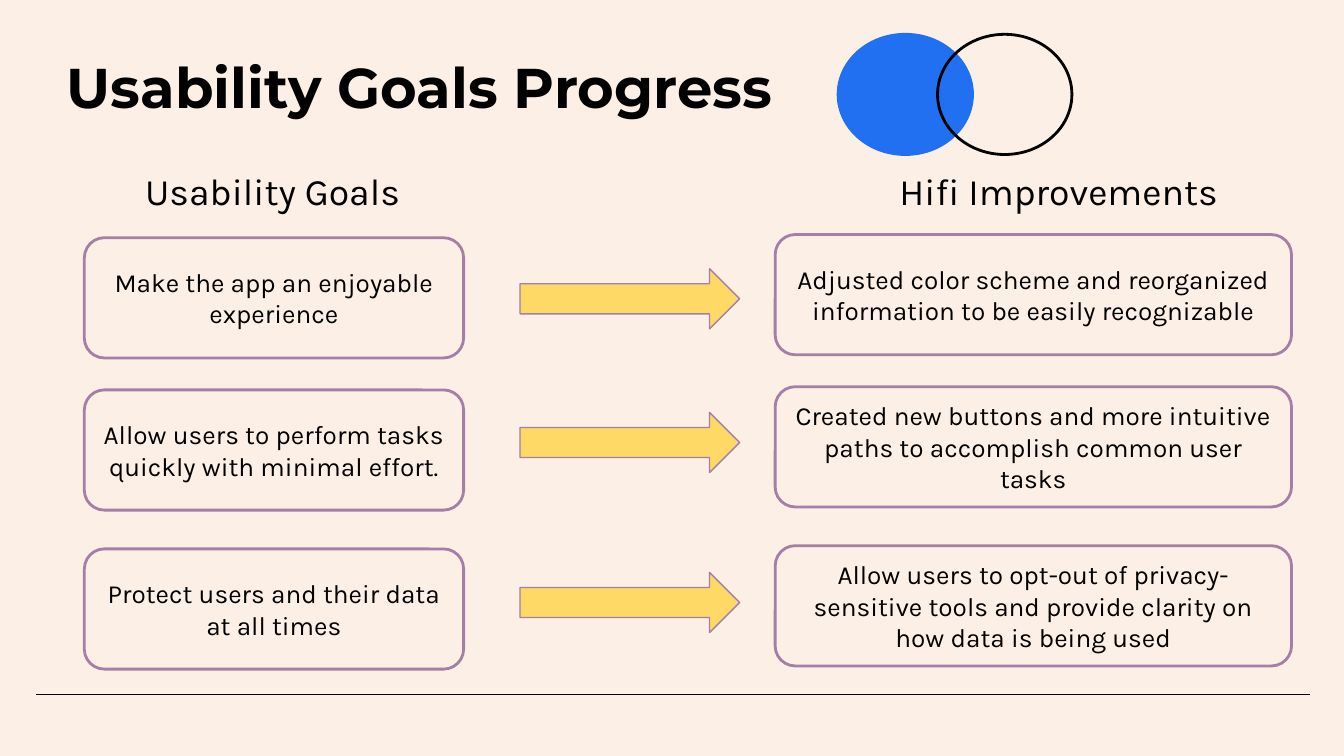
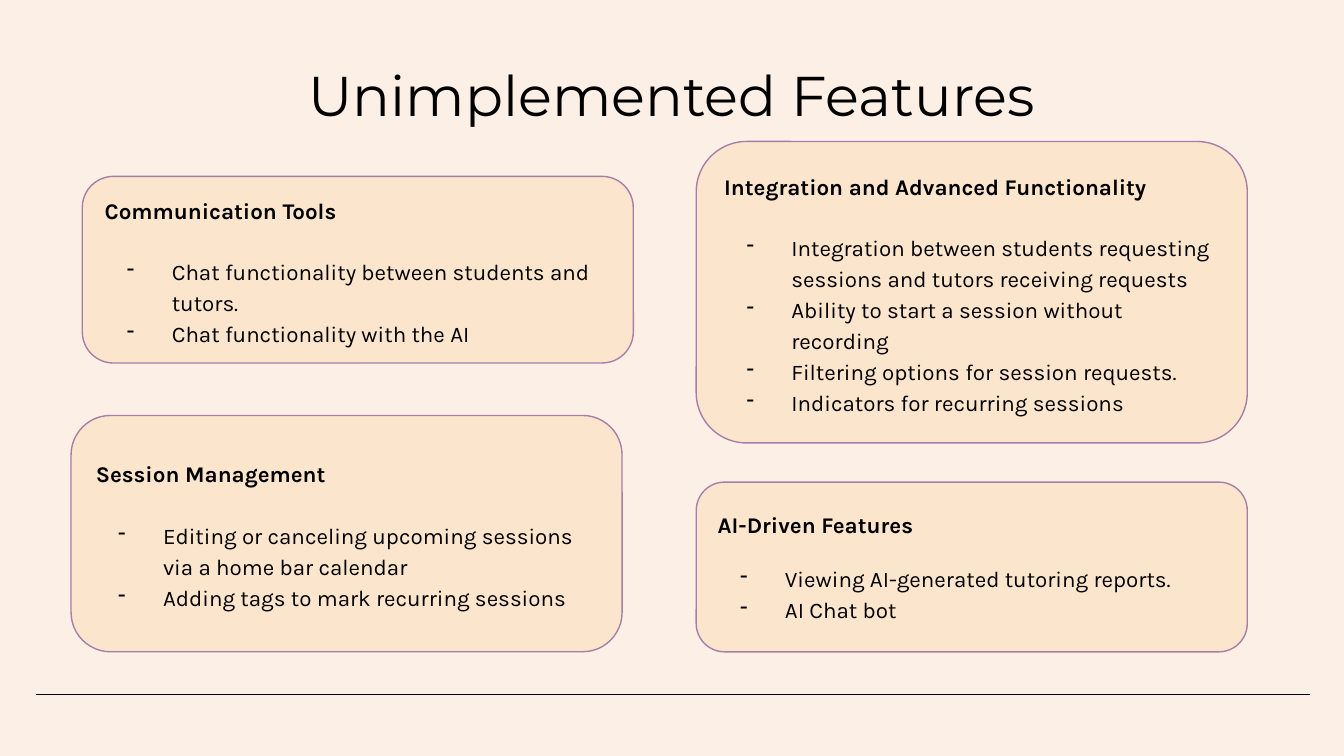
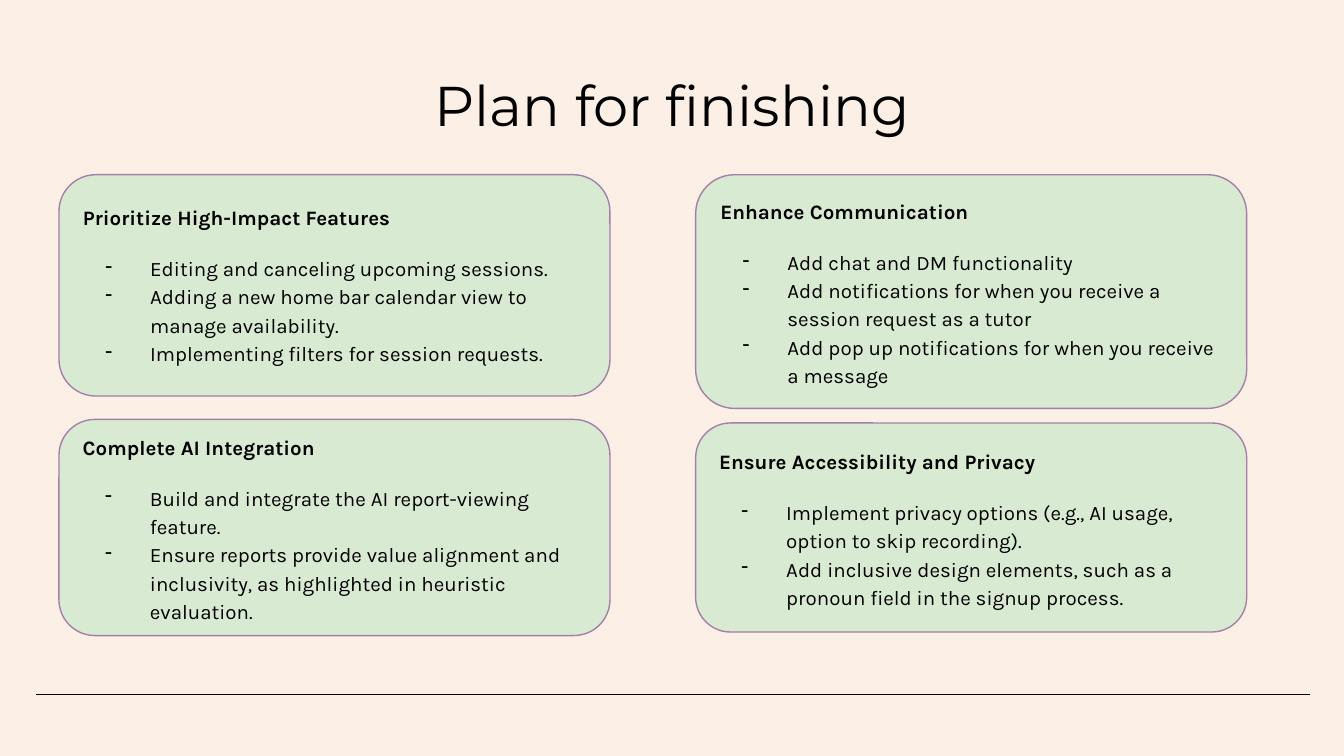
from lxml import etree
from pptx import Presentation, oxml
from pptx.dml.color import RGBColor
from pptx.enum import shapes, text
from pptx.oxml import ns
from pptx.util import Pt

CREAM = RGBColor(0xFC, 0xEF, 0xE5)
BLACK = RGBColor(0, 0, 0)
BLUE = RGBColor(0x21, 0x70, 0xF2)
MAUVE = RGBColor(0xA4, 0x7F, 0xA7)
YELLOW = RGBColor(0xFF, 0xD9, 0x66)
PEACH = RGBColor(0xFC, 0xE5, 0xCD)
GREEN = RGBColor(0xD9, 0xEA, 0xD3)

SHAPE = shapes.MSO_SHAPE
LEFT, CENTER = text.PP_ALIGN.LEFT, text.PP_ALIGN.CENTER
TOP, MIDDLE, BOTTOM = (text.MSO_ANCHOR.TOP, text.MSO_ANCHOR.MIDDLE,
                       text.MSO_ANCHOR.BOTTOM)

TITLE = {"name": "Montserrat", "size": Pt(30), "bold": False}
COLUMN_HEAD = {"name": "Karla", "size": Pt(20), "bold": False}
GOAL = {"name": "Karla", "size": Pt(14), "bold": False}
FRAME = {"word_wrap": True, "margin_left": Pt(7.2), "margin_right": Pt(7.2),
         "margin_top": Pt(7.2), "margin_bottom": Pt(7.2)}
CARD_W = 295.2

GOALS = [
    (127.4, 144, "Make the app an enjoyable experience",
     "Adjusted color scheme and reorganized information to be easily recognizable"),
    (208.9, 221, "Allow users to perform tasks quickly with minimal effort.",
     "Created new buttons and more intuitive paths to accomplish common user tasks"),
    (294.1, 306.7, "Protect users and their data at all times",
     "Allow users to opt-out of privacy-sensitive tools and provide clarity on "
     "how data is being used"),
]

FEATURES = [
    ((373, 258.3, CARD_W, 90.9), 1, 1, "AI-Driven Features",
     ["Viewing AI-generated tutoring reports.", "AI Chat bot"]),
    ((38.1, 222.6, CARD_W, 126.6), 1.15, 1.15, "Session Management",
     ["Editing or canceling upcoming sessions via a home bar calendar",
      "Adding tags to mark recurring sessions"]),
    ((44.1, 94.5, CARD_W, 100), 1.15, 1.15, "Communication Tools",
     ["Chat functionality between students and tutors.",
      "Chat functionality with the AI"]),
    ((373, 75.8, CARD_W, 161.5), 1.15, 1.15, "Integration and Advanced Functionality",
     ["Integration between students requesting sessions and tutors receiving requests",
      "Ability to start a session without recording",
      "Filtering options for session requests.",
      "Indicators for recurring sessions"]),
]

PLANS = [
    ((31.6, 93.6, CARD_W, 118.6), 1, 1.15, "Prioritize High-Impact Features",
     ["Editing and canceling upcoming sessions.",
      "Adding a new home bar calendar view to manage availability.",
      "Implementing filters for session requests."]),
    ((31.6, 224.7, CARD_W, 115.8), 1.15, 1.15, "Complete AI Integration",
     ["Build and integrate the AI report-viewing feature.",
      "Ensure reports provide value alignment and inclusivity, as highlighted in "
      "heuristic evaluation."]),
    ((372.7, 93.6, CARD_W, 125.2), 1.15, 1.15, "Enhance Communication",
     ["Add chat and DM functionality",
      "Add notifications for when you receive a session request as a tutor",
      "Add pop up notifications for when you receive a message"]),
    ((372.7, 226.6, CARD_W, 112), 1.15, 1.15, "Ensure Accessibility and Privacy",
     ["Implement privacy options (e.g., AI usage, option to skip recording).",
      "Add inclusive design elements, such as a pronoun field in the signup process."]),
]


def apply(target, values):
    """Set each named format value on the target."""
    for name, value in values.items():
        setattr(target, name, value)


def points(box):
    """Turn a box of plain numbers into lengths."""
    return [Pt(v) for v in box]


def add_outline(parent, kind, box, line, width, fill=None):
    """Add a preset shape with its line and optional fill."""
    sp = parent.shapes.add_shape(kind, *points(box))
    sp.shadow.inherit = False
    sp.line.color.rgb = line
    sp.line.width = Pt(width)
    if fill is None:
        sp.fill.background()
    else:
        sp.fill.solid()
        sp.fill.fore_color.rgb = fill
    return sp


def write(p, words, font, **layout):
    """Write one run in a paragraph with its font and layout."""
    apply(p, layout)
    r = p.add_run()
    r.text = words
    apply(r.font, font)
    r.font.color.rgb = BLACK


def add_dash(p):
    """Give a paragraph a hanging dash bullet."""
    pPr = p._p.get_or_add_pPr()
    pPr.set("marL", str(Pt(36)))
    pPr.set("indent", str(-Pt(24)))
    pPr.append(oxml.parse_xml(
        f'<a:buClr {ns.nsdecls("a")}><a:srgbClr val="{BLACK}"/></a:buClr>'))
    etree.SubElement(pPr, ns.qn("a:buChar")).set("char", "-")


def add_label(s, box, words, font, anchor=TOP, **layout):
    """Add a one-paragraph text box."""
    tf = s.shapes.add_textbox(*points(box)).text_frame
    apply(tf, FRAME | {"vertical_anchor": anchor})
    write(tf.paragraphs[0], words, font, **layout)


def add_title(s, box, words, align=CENTER, bold=False):
    """Add the slide title at the foot of its box."""
    add_label(s, box, words, TITLE | {"bold": bold}, BOTTOM,
              alignment=align, line_spacing=0.9)


def add_base(prs):
    """Add a blank slide with the rule along the bottom."""
    s = prs.slides.add_slide(prs.slide_layouts[6])
    rule = s.shapes.add_connector(shapes.MSO_CONNECTOR.STRAIGHT,
                                  *points((19.4, 372, 702, 372)))
    rule.line.color.rgb = BLACK
    rule.line.width = Pt(0.75)
    etree.SubElement(rule._element.spPr, ns.qn("a:effectLst"))
    return s


def add_circles(s, x, y, w, h):
    """Add the overlapping pair of circles as one group."""
    group = s.shapes.add_group_shape()
    add_outline(group, SHAPE.OVAL, (x, y, w, h), BLUE, 1.5, BLUE)
    add_outline(group, SHAPE.OVAL, (x + 0.74 * w, y, w, h), BLACK, 1.5)


def add_goal_box(s, box, words):
    """Add an outlined box with centred text."""
    sp = add_outline(s, SHAPE.ROUNDED_RECTANGLE, box, MAUVE, 1.5)
    apply(sp.text_frame, FRAME | {"vertical_anchor": MIDDLE})
    write(sp.text_frame.paragraphs[0], words, GOAL, alignment=CENTER)


def add_card(s, box, fill, size, gap, head_spacing, first_spacing, head, items):
    """Add a filled card with a bold head over a dashed list."""
    sp = add_outline(s, SHAPE.ROUNDED_RECTANGLE, box, MAUVE, 0.75, fill)
    tf = sp.text_frame
    apply(tf, FRAME | {"vertical_anchor": MIDDLE})
    font = {"name": "Karla", "size": Pt(size), "bold": True}
    write(tf.paragraphs[0], head, font, alignment=LEFT, line_spacing=head_spacing)
    for i, item in enumerate(items):
        p = tf.add_paragraph()
        write(p, item, font | {"bold": False}, alignment=LEFT,
              line_spacing=1.15 if i else first_spacing,
              space_before=Pt(0 if i else gap * first_spacing))
        add_dash(p)


def build_goals(prs):
    """Build the slide that maps goals to improvements."""
    s = add_base(prs)
    add_title(s, (28.8, 0, 488, 72), "Usability Goals Progress", LEFT, True)
    add_circles(s, 449, 18.4, 72, 64.4)
    for y, arrow_y, goal, change in GOALS:
        add_goal_box(s, (45.2, y, 203.2, 64.4), goal)
        add_outline(s, SHAPE.RIGHT_ARROW, (278.6, arrow_y, 117.6, 32.2),
                    MAUVE, 0.75, YELLOW)
        add_goal_box(s, (415.3, y - 1.7, 276.6, 64.4), change)
    add_label(s, (70.6, 82.8, 165, 51.8), "Usability Goals", COLUMN_HEAD)
    add_label(s, (474.8, 82.8, 227.5, 51.8), "Hifi Improvements", COLUMN_HEAD)


def build_cards(prs, title, title_box, cards, fill, size, gap):
    """Build a slide of four cards under a centred title."""
    s = add_base(prs)
    add_title(s, title_box, title)
    for box, *content in cards:
        add_card(s, box, fill, size, gap, *content)


def main():
    """Build and save the presentation."""
    prs = Presentation()
    apply(prs, {"slide_width": Pt(720), "slide_height": Pt(405)})
    background = prs.slide_master.background.fill
    background.solid()
    background.fore_color.rgb = CREAM
    build_goals(prs)
    build_cards(prs, "Unimplemented Features", (116, 4.3, 488, 72),
                FEATURES, PEACH, 12, 14.2)
    build_cards(prs, "Plan for finishing", (135.4, 9.4, 449.3, 72),
                PLANS, GREEN, 11, 10.43)
    prs.save("out.pptx")


if __name__ == "__main__":
    main()
